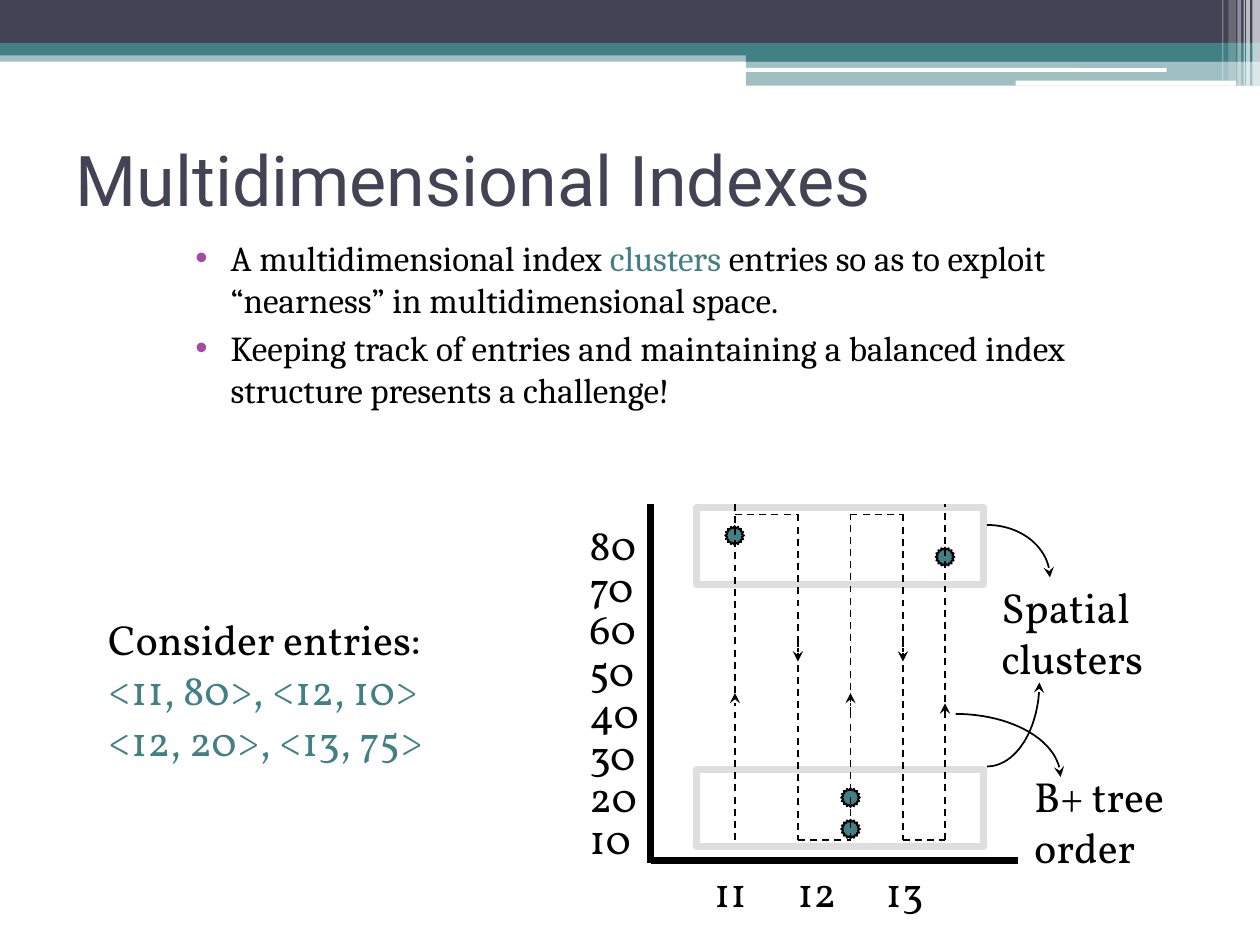
"""Build the slide on multidimensional indexes with its spatial cluster diagram."""
from math import cos, pi, sin

from lxml.etree import SubElement
from pptx import Presentation
from pptx.dml.color import RGBColor
from pptx.enum.dml import MSO_LINE
from pptx.enum.shapes import MSO_CONNECTOR, MSO_SHAPE as MS
from pptx.enum.text import MSO_ANCHOR, MSO_AUTO_SIZE, PP_ALIGN
from pptx.oxml.ns import qn
from pptx.util import Inches, Pt

NAVY = RGBColor(0x42, 0x44, 0x56)
TEAL = RGBColor(0x43, 0x80, 0x86)
PURPLE = RGBColor(0xA0, 0x4D, 0xA3)
GRAY = RGBColor(0xDE, 0xDE, 0xDE)
BLACK = RGBColor(0, 0, 0)
WHITE = RGBColor(0xFF, 0xFF, 0xFF)
CELL = Inches(1) / 12


def stroke(sp, color=BLACK, width=1, dash=None, arrow=None):
    sp.line.color.rgb = color
    sp.line.width = Pt(width)
    if dash:
        sp.line.dash_style = dash
    spPr = sp._element.spPr
    if arrow:
        SubElement(spPr.find(qn("a:ln")), qn("a:" + arrow), type="stealth")
    SubElement(spPr, qn("a:effectLst"))


def write(p, text, **values):
    r = p.add_run()
    r.text = text
    color = values.pop("color", BLACK)
    for name, value in values.items():
        setattr(r.font, name, value)
    r.font.color.rgb = color


prs = Presentation()
prs.slide_width, prs.slide_height = Inches(10), Inches(7.5)
s = prs.slides.add_slide(prs.slide_layouts[1])

bands = [
    (0, 0.4, 10, 0.09, TEAL, 50, MS.RECTANGLE),
    (0, 0, 10, 0.34, NAVY, 100, MS.RECTANGLE),
    (0, 0.34, 10, 0.1, TEAL, 100, MS.RECTANGLE),
    (5.92, 0.39, 4.08, 0.1, TEAL, 100, MS.RECTANGLE),
    (5.92, 0.48, 4.08, 0.2, TEAL, 50, MS.RECTANGLE),
    (5.91, 0.54, 3.35, 0.03, WHITE, 100, MS.ROUNDED_RECTANGLE),
    (8.06, 0.64, 1.75, 0.04, WHITE, 100, MS.ROUNDED_RECTANGLE),
    (9.94, 0, 0.06, 0.68, WHITE, 65, MS.RECTANGLE),
    (9.89, 0, 0.03, 0.68, WHITE, 65, MS.RECTANGLE),
    (9.87, 0, 0.01, 0.68, WHITE, 60, MS.RECTANGLE),
    (9.82, 0, 0.03, 0.68, WHITE, 40, MS.RECTANGLE),
    (9.75, 0, 0.06, 0.64, WHITE, 20, MS.RECTANGLE),
    (9.7, 0, 0.01, 0.64, WHITE, 30, MS.RECTANGLE),
]
for *box, color, opacity, kind in bands:
    sp = s.shapes.add_shape(kind, *map(Inches, box))
    sp.shadow.inherit = False
    sp.fill.solid()
    sp.fill.fore_color.rgb = color
    sp.line.fill.background()
    if opacity < 100:
        clr = sp._element.spPr.find(".//" + qn("a:srgbClr"))
        SubElement(clr, qn("a:alpha"), val=str(opacity * 1000))

title, body = s.placeholders
for sp, box, anchor in [(title, (0.5, 0.83, 9, 1.17), MSO_ANCHOR.MIDDLE),
                        (body, (1.33, 1.83, 8.33, 2.08), MSO_ANCHOR.TOP)]:
    sp.left, sp.top, sp.width, sp.height = map(Inches, box)
    sp.text_frame.vertical_anchor = anchor
    sp.text_frame.auto_size = MSO_AUTO_SIZE.NONE

p = title.text_frame.paragraphs[0]
p.alignment = PP_ALIGN.LEFT
write(p, "Multidimensional Indexes", size=Pt(40), name="Roboto", color=NAVY)

bullets = [
    [("A multidimensional index ", BLACK), ("clusters", TEAL),
     (" entries so as to exploit “nearness” in multidimensional space.", BLACK)],
    [("Keeping track of entries and maintaining a balanced index structure "
      "presents a challenge!", BLACK)],
]
tf = body.text_frame
for i, runs in enumerate(bullets):
    p = tf.add_paragraph() if i else tf.paragraphs[0]
    p.space_before = Pt(3)
    pPr = p._p.get_or_add_pPr()
    pPr.set("marL", str(Inches(0.4)))
    pPr.set("indent", str(Inches(-0.28)))
    SubElement(SubElement(pPr, qn("a:buClr")), qn("a:srgbClr"), val=str(PURPLE))
    SubElement(pPr, qn("a:buChar"), char="•")
    for text, color in runs:
        write(p, text, size=Pt(20), name="Cambria", color=color)

for top in (4.03, 6.11):
    sp = s.shapes.add_shape(MS.RECTANGLE, *map(Inches, (5.53, top, 2.28, 0.61)))
    sp.fill.background()
    stroke(sp, GRAY, 4)

for x, y in [(5.83, 4.25), (7.5, 4.42), (6.75, 6.33), (6.75, 6.58)]:
    sp = s.shapes.add_shape(MS.STAR_16_POINT, Inches(x - 0.075), Inches(y - 0.075),
                            Inches(0.15), Inches(0.15))
    sp.adjustments[0] = 0.39
    sp.fill.solid()
    sp.fill.fore_color.rgb = TEAL
    stroke(sp)

lines = [(62, 48, 62, 82.2, 4, None, None), (62, 82, 97, 82, 4, None, None)]
routes = [
    (70, 66, 70, 48, None), (70, 80, 70, 66, "tailEnd"), (70, 49, 76, 49, None),
    (76, 49, 76, 63, "tailEnd"), (76, 61, 76, 80, None), (76, 80, 81, 80, None),
    (81, 80, 81, 66, "tailEnd"), (81, 68, 81, 49, None), (81, 49, 86, 49, None),
    (86, 49, 86, 63, "tailEnd"), (86, 61, 86, 80, None), (86, 80, 90, 80, None),
    (90, 80, 90, 67, "tailEnd"), (90, 68, 90, 48, None),
]
lines += [(*ends, 1, MSO_LINE.DASH, arrow) for *ends, arrow in routes]
for *ends, width, dash, arrow in lines:
    sp = s.shapes.add_connector(MSO_CONNECTOR.STRAIGHT, *(round(v * CELL) for v in ends))
    stroke(sp, BLACK, width, dash, arrow)

curves = [(94, 50, 6, 5, "tailEnd"), (94, 73, 5, -8, "headEnd"), (91, 68, 10, 6, "tailEnd")]
for x, y, rx, ry, arrow in curves:
    angles = [i * pi / 48 for i in range(25)]
    points = [((x + rx * sin(a)) * CELL, (y + ry * (1 - cos(a))) * CELL) for a in angles]
    if arrow == "headEnd":
        points.reverse()
    builder = s.shapes.build_freeform(*points[0])
    builder.add_line_segments(points[1:], close=False)
    sp = builder.convert_to_shape()
    sp.fill.background()
    stroke(sp, arrow=arrow)

labels = [
    (0.76, 4.82, 2.95, 1.3, False, [("Consider entries:", BLACK), ("<11, 80>, <12, 10>", TEAL),
                                    ("<12, 20>, <13, 75>", TEAL)]),
    (7.85, 4.57, 1.43, 0.9, False, [("Spatial", BLACK), ("clusters", BLACK)]),
    (8.11, 6.07, 1.32, 0.9, False, [("B+ tree", BLACK), ("order", BLACK)]),
    (5.57, 6.82, 2.36, 0.5, True, [("11\t12\t13", BLACK)]),
]
labels += [(4.58, 4.07 + i / 3, 0.6, 0.5, True, [(str(80 - 10 * i), BLACK)]) for i in range(8)]
for *box, wrap, rows in labels:
    tf = s.shapes.add_textbox(*map(Inches, box)).text_frame
    tf.word_wrap = wrap
    tf.auto_size = MSO_AUTO_SIZE.SHAPE_TO_FIT_TEXT
    for i, (text, color) in enumerate(rows):
        p = tf.add_paragraph() if i else tf.paragraphs[0]
        write(p, text, size=Pt(24), name="Vollkorn", color=color)
        if "\t" in text:
            tabs = SubElement(p._p.get_or_add_pPr(), qn("a:tabLst"))
            for stop in (0.66, 1.36):
                SubElement(tabs, qn("a:tab"), pos=str(Inches(stop)), algn="l")

prs.save("out.pptx")
